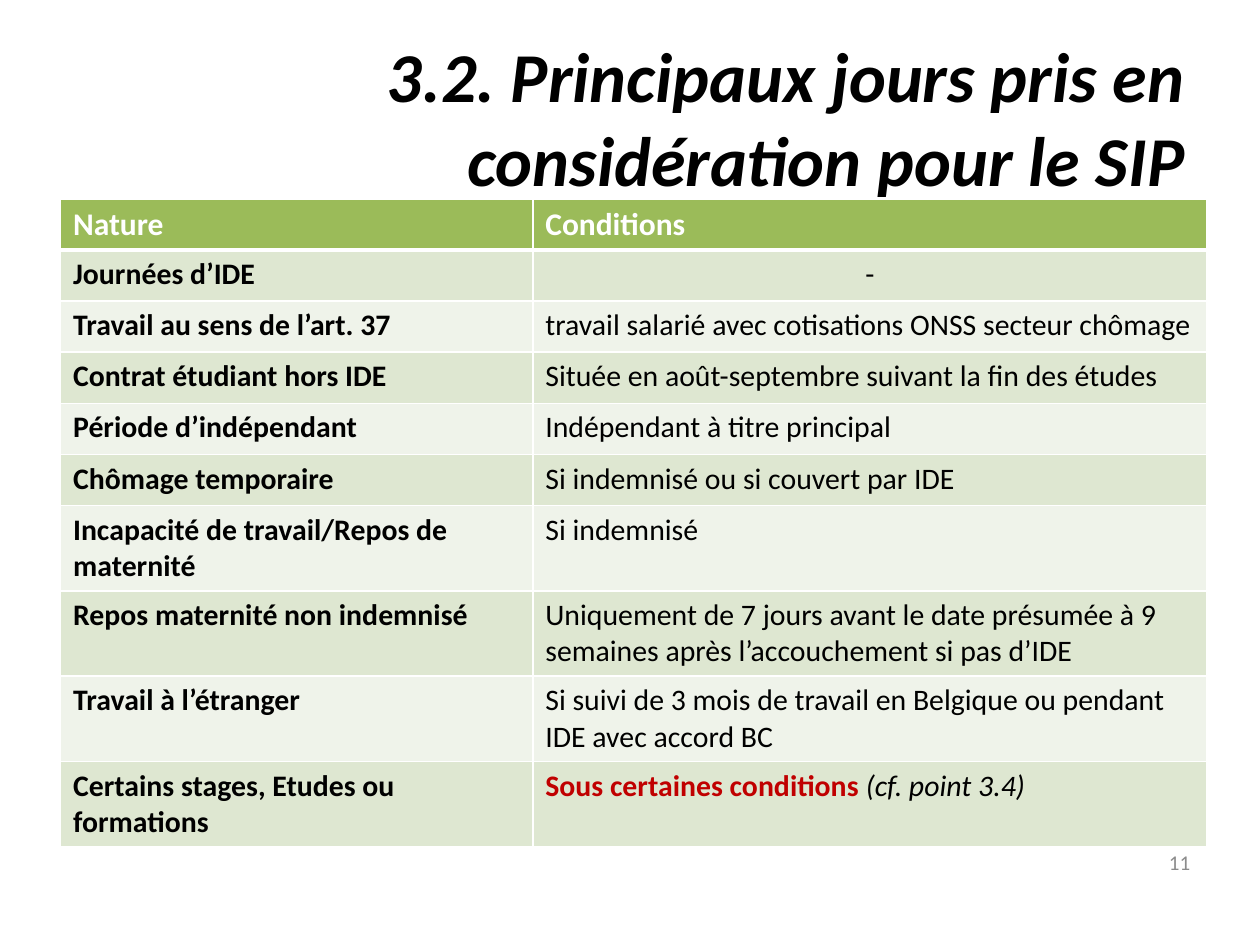
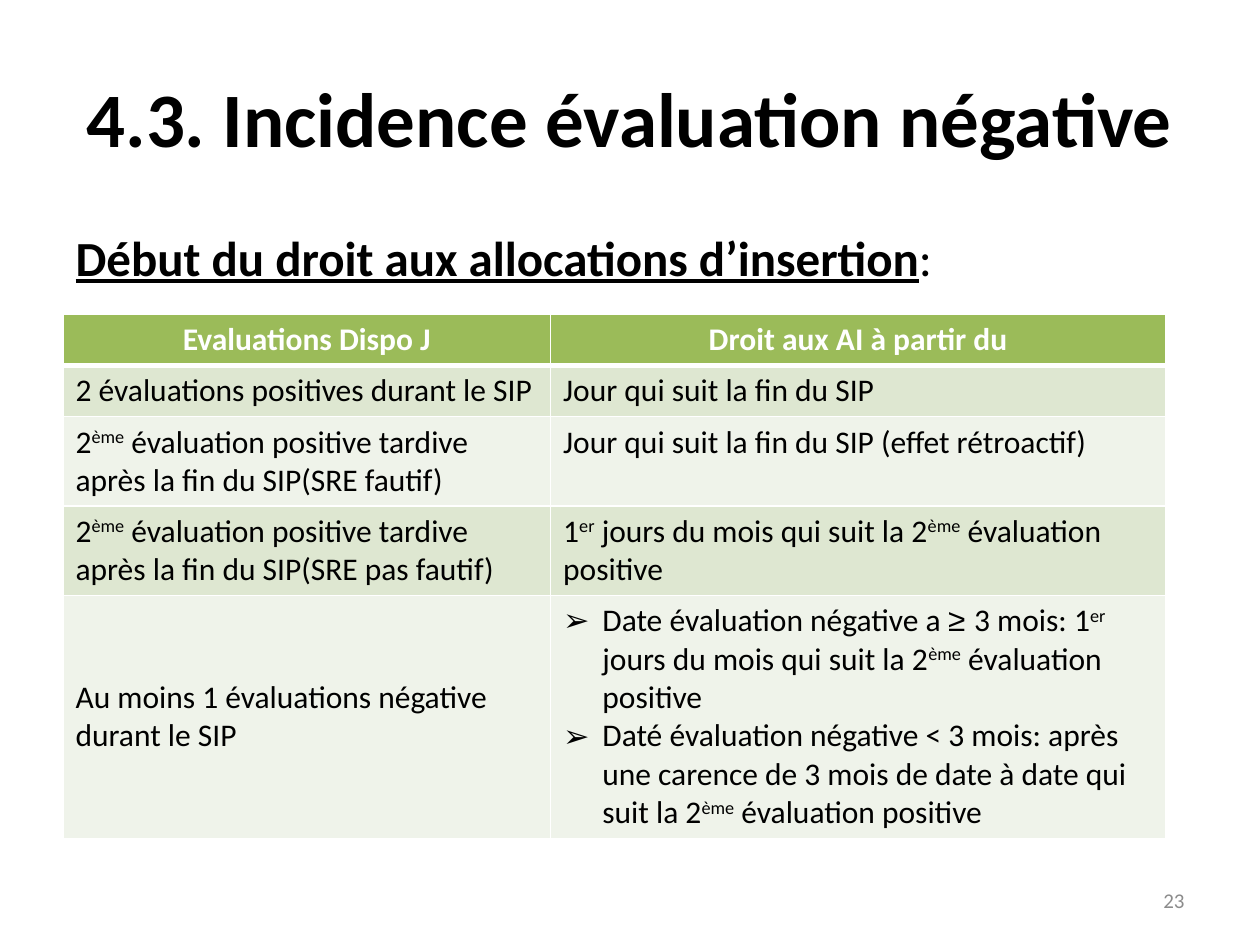
from lxml.etree import SubElement
from pptx import Presentation
from pptx.dml.color import RGBColor
from pptx.enum.text import MSO_ANCHOR, MSO_AUTO_SIZE, PP_ALIGN
from pptx.oxml.ns import qn
from pptx.util import Cm, Pt

COLORS = {
    "text": "000000",
    "white": "FFFFFF",
    "header": "9BBB59",
    "odd": "DEE7D1",
    "even": "EFF3EA",
    "alert": "C00000",
    "number": "8C8C8C",
}
FONT = "Calibri"
ONE_LINE = 1.03

DAYS = {
    "title": "3.2. Principaux jours pris en considération pour le SIP",
    "header": ["Nature", "Conditions"],
    "rows": [
        ("Journées d’IDE", "-"),
        ("Travail au sens de l’art. 37", "travail salarié avec cotisations ONSS secteur chômage"),
        ("Contrat étudiant hors IDE", "Située en août-septembre suivant la fin des études"),
        ("Période d’indépendant", "Indépendant à titre principal"),
        ("Chômage temporaire", "Si indemnisé ou si couvert par IDE"),
        ("Incapacité de travail/Repos de maternité", "Si indemnisé"),
        ("Repos maternité non indemnisé",
         "Uniquement de 7 jours avant le date présumée à 9 semaines après l’accouchement si pas d’IDE"),
        ("Travail à l’étranger",
         "Si suivi de 3 mois de travail en Belgique ou pendant IDE avec accord BC"),
        ("Certains stages, Etudes ou formations",
         [("Sous certaines conditions ", {"bold": True, "color": "alert"}),
          ("(cf. point 3.4)", {"italic": True})]),
    ],
    "heights": [ONE_LINE] * 6 + [1.72] * 4,
    "widths": [9.52, 13.59],
    "number": "11",
}

EVALUATIONS = {
    "title": "4.3. Incidence évaluation négative",
    "lead": [("Début du droit aux allocations d’insertion", {"bold": True, "underline": True}), (":", {})],
    "header": ["Evaluations Dispo J", "Droit aux AI à partir du"],
    "rows": [
        ("2 évaluations positives durant le SIP", "Jour qui suit la fin du SIP"),
        ("2^ème^ évaluation positive tardive après la fin du SIP(SRE fautif)",
         "Jour qui suit la fin du SIP (effet rétroactif)"),
        ("2^ème^ évaluation positive tardive après la fin du SIP(SRE pas fautif)",
         "1^er^ jours du mois qui suit la 2^ème^ évaluation positive"),
        ("Au moins 1 évaluations négative durant le SIP", ""),
    ],
    "bullets": [
        [("Date évaluation négative a ", {}), ("≥ ", {"font": "Arial"}),
         ("3 mois: 1^er^ jours du mois qui suit la 2^ème^ évaluation positive", {})],
        "Daté évaluation négative < 3 mois: après une carence de 3 mois de date à date "
        "qui suit la 2^ème^ évaluation positive",
    ],
    "heights": [ONE_LINE, ONE_LINE, 1.8, 1.8, 4.9],
    "widths": [9.83, 12.4],
    "number": "23",
}


def rgb(name):
    return RGBColor.from_string(COLORS[name])


def write(para, content, align=PP_ALIGN.LEFT, **base):
    """Text between ^ marks is superscript."""
    para.alignment = align
    parts = [(content, {})] if isinstance(content, str) else content
    for text, extra in parts:
        style = {"size": 18, "color": "text", "font": FONT, "bold": False,
                 "italic": False, "underline": False, **base, **extra}
        for index, piece in enumerate(text.split("^")):
            if not piece:
                continue
            span = para.add_run()
            span.text = piece
            span.font.name = style["font"]
            span.font.size = Pt(style["size"])
            span.font.bold = style["bold"]
            span.font.italic = style["italic"]
            span.font.underline = style["underline"]
            span.font.color.rgb = rgb(style["color"])
            if index % 2:
                span._r.get_or_add_rPr().set("baseline", "30000")


def place(shape, left, top, width, height):
    shape.left, shape.top, shape.width, shape.height = map(Cm, (left, top, width, height))


def add_page(deck, layout, content, **title_format):
    page = deck.slides.add_slide(deck.slide_layouts[layout])
    title = page.shapes.title
    place(title, 1.27, 0.76, 22.86, 3.18)
    title.text_frame.auto_size = MSO_AUTO_SIZE.NONE
    title.text_frame.vertical_anchor = MSO_ANCHOR.MIDDLE
    write(title.text_frame.paragraphs[0], content["title"], bold=True, **title_format)
    return page


def add_number(page, text, left, top, width, align):
    box = page.shapes.add_textbox(Cm(left), Cm(top), Cm(width), Cm(1.01))
    box.text_frame.word_wrap = True
    box.text_frame.vertical_anchor = MSO_ANCHOR.MIDDLE
    write(box.text_frame.paragraphs[0], text, align, size=12, color="number")


def set_borders(cell, **widths):
    properties = cell._tc.get_or_add_tcPr()
    for side in "LRTB":
        line = SubElement(properties, qn(f"a:ln{side}"), w=str(Pt(widths.get(side, 1))))
        fill = SubElement(line, qn("a:solidFill"))
        SubElement(fill, qn("a:srgbClr"), val=COLORS["white"])


def add_grid(page, content, left, top, header_align, body_size, first_bold, first_anchor):
    widths, heights = content["widths"], content["heights"]
    frame = page.shapes.add_table(len(heights), len(widths), Cm(left), Cm(top),
                                  Cm(sum(widths)), Cm(sum(heights)))
    table = frame.table
    for column, width in zip(table.columns, widths):
        column.width = Cm(width)
    for row, height in zip(table.rows, heights):
        row.height = Cm(height)
    for row_index, texts in enumerate([content["header"], *content["rows"]]):
        is_header = row_index == 0
        band = "header" if is_header else "odd" if row_index % 2 else "even"
        for column_index, text in enumerate(texts):
            cell = table.cell(row_index, column_index)
            set_borders(cell, T=3 if row_index == 1 else 1, B=3 if is_header else 1)
            cell.fill.solid()
            cell.fill.fore_color.rgb = rgb(band)
            para = cell.text_frame.paragraphs[0]
            if is_header:
                write(para, text, header_align, bold=True, color="white")
                continue
            is_first = column_index == 0
            cell.vertical_anchor = first_anchor if is_first else MSO_ANCHOR.TOP
            align = PP_ALIGN.CENTER if text == "-" else PP_ALIGN.LEFT
            write(para, text, align, size=body_size, bold=is_first and first_bold)
    return table


def add_bullets(cell, items):
    frame = cell.text_frame
    for index, item in enumerate(items):
        para = frame.add_paragraph() if index else frame.paragraphs[0]
        properties = para._p.get_or_add_pPr()
        properties.set("marL", str(Cm(0.79)))
        properties.set("indent", str(-Cm(0.79)))
        SubElement(properties, qn("a:buFont"), typeface="Arial")
        SubElement(properties, qn("a:buChar"), char="➢")
        write(para, item)


def add_lead(page, content):
    body = page.placeholders[1]
    place(body, 1.27, 4.45, 22.86, 12.57)
    body.text_frame.auto_size = MSO_AUTO_SIZE.NONE
    para = body.text_frame.paragraphs[0]
    properties = para._p.get_or_add_pPr()
    properties.set("marL", "0")
    properties.set("indent", "0")
    SubElement(properties, qn("a:buNone"))
    para.space_before = Pt(0)
    write(para, content, size=28)


def main():
    deck = Presentation()
    deck.slide_width, deck.slide_height = Cm(25.4), Cm(19.05)

    days = add_page(deck, 5, DAYS, align=PP_ALIGN.RIGHT, size=40, italic=True)
    add_number(days, DAYS["number"], 23.22, 16.87, 1.12, PP_ALIGN.CENTER)
    add_grid(days, DAYS, 1.22, 4.01, PP_ALIGN.LEFT, 17, True, MSO_ANCHOR.TOP)

    evaluations = add_page(deck, 1, EVALUATIONS, align=PP_ALIGN.CENTER, size=44)
    add_lead(evaluations, EVALUATIONS["lead"])
    add_number(evaluations, EVALUATIONS["number"], 18.21, 17.65, 5.92, PP_ALIGN.RIGHT)
    table = add_grid(evaluations, EVALUATIONS, 1.27, 6.34, PP_ALIGN.CENTER, 18, False, MSO_ANCHOR.MIDDLE)
    add_bullets(table.cell(4, 1), EVALUATIONS["bullets"])

    deck.save("out.pptx")


if __name__ == "__main__":
    main()
